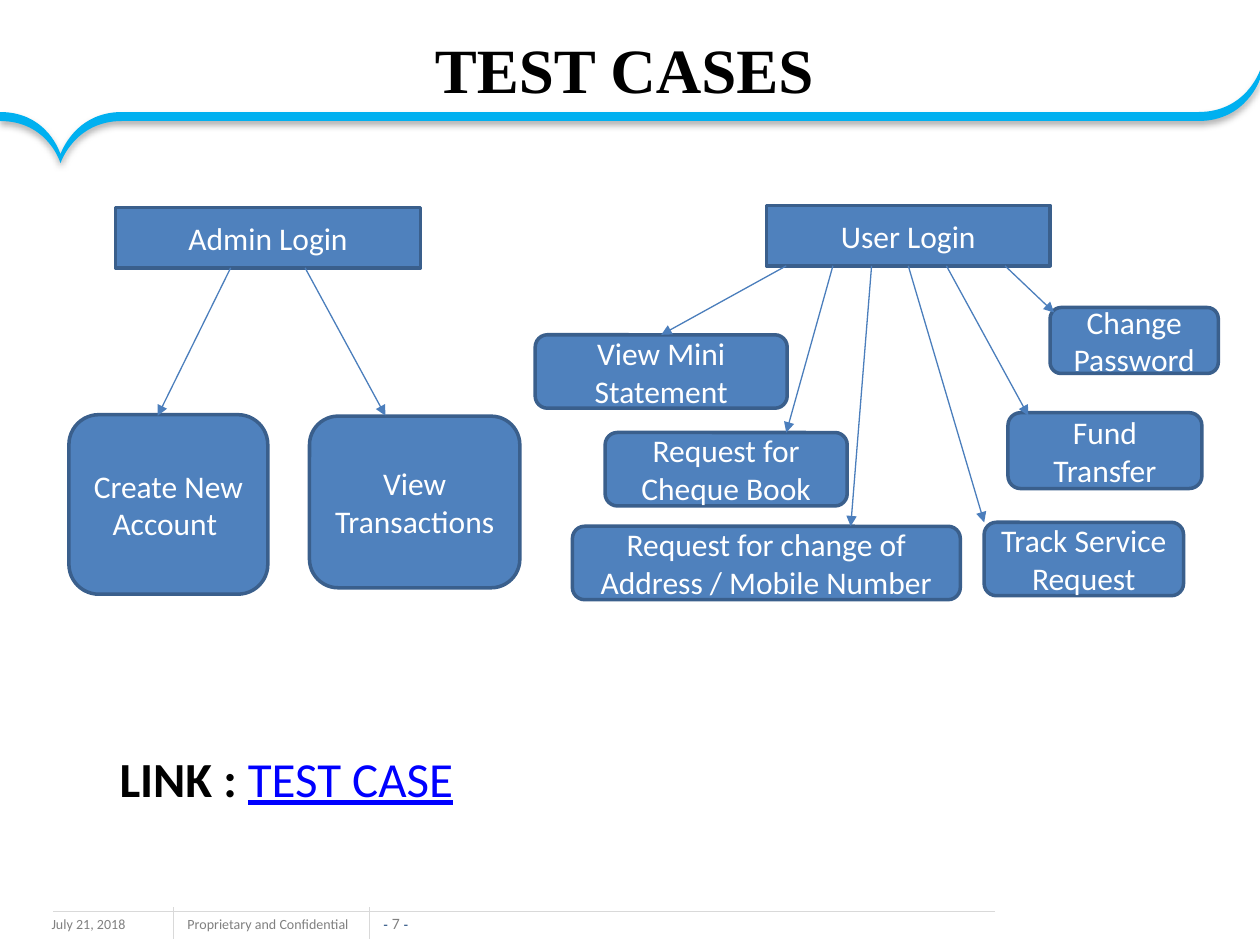
"""Build the test cases slide with its two login trees."""
from dataclasses import dataclass

from lxml.etree import SubElement as Sub
from pptx import Presentation as Deck
from pptx.dml.color import RGBColor as Rgb
from pptx.enum.shapes import MSO_CONNECTOR as Link, MSO_SHAPE as Form
from pptx.enum.text import MSO_ANCHOR as Anchor, PP_ALIGN as Align
from pptx.oxml.ns import qn
from pptx.util import Cm, Pt


@dataclass(frozen=True)
class Theme:
    """Colours, fonts, type sizes and line widths."""
    band: str = "00B0F0"
    box: str = "4F81BD"
    edge: str = "3A5F8C"
    arrow: str = "4B7EBC"
    rule: str = "D9D9D9"
    dark: str = "000000"
    light: str = "FFFFFF"
    grey: str = "808080"
    dash: str = "1F497D"
    link: str = "0000FF"
    body: str = "Calibri"
    serif: str = "Times New Roman"
    sans: str = "Arial"
    head: int = 36
    note: int = 28
    label: int = 18
    page: int = 9
    foot: int = 8
    thick: float = 2
    thin: float = 0.75


T = Theme()

ADMIN = ("Admin Login", 2.33, 4.18, 6.15, 1.22)
USER = ("User Login", 15.45, 4.14, 5.72, 1.22)
MINI = ("View Mini Statement", 10.79, 6.75, 5.08, 1.48)
TASKS = [
    ("Request for change of Address / Mobile Number", 11.54, 10.61, 7.82, 1.48),
    ("Request for Cheque Book", 12.2, 8.72, 4.88, 1.48),
    ("Track Service Request", 19.84, 10.53, 4.02, 1.48),
    ("Fund Transfer", 20.32, 8.32, 3.91, 1.53),
    ("Change Password", 21.17, 6.2, 3.39, 1.33),
    ("Create New Account ", 1.39, 8.36, 4.01, 3.62),
    ("View Transactions", 6.24, 8.39, 4.24, 3.46),
]
ADMIN_ARROWS = [(4.65, 3.18, 8.38), (6.15, 7.77, 8.38)]
USER_ARROWS = [
    (16.79, 15.85, 8.72), (17.57, 17.15, 10.61), (18.31, 19.84, 10.53),
    (19.08, 20.73, 8.38), (20.26, 21.25, 6.3),
]


def add_run(par, text, size, color, font=T.body, bold=False, under=False):
    """Add one styled run to a paragraph."""
    run = par.add_run()
    run.text = text
    run.font.size = Pt(size)
    run.font.name = font
    run.font.bold = bold
    run.font.underline = under
    run.font.color.rgb = Rgb.from_string(color)


def add_text(slide, x, y, w, h, runs, align=Align.LEFT, wrap=True):
    """Add a text box and return its frame."""
    frame = slide.shapes.add_textbox(Cm(x), Cm(y), Cm(w), Cm(h)).text_frame
    frame.word_wrap = wrap
    par = frame.paragraphs[0]
    par.alignment = align
    for run in runs:
        add_run(par, *run)
    return frame


def add_box(slide, form, text, x, y, w, h):
    """Add a filled box with a centred label."""
    box = slide.shapes.add_shape(form, Cm(x), Cm(y), Cm(w), Cm(h))
    box.shadow.inherit = False
    box.fill.solid()
    box.fill.fore_color.rgb = Rgb.from_string(T.box)
    box.line.color.rgb = Rgb.from_string(T.edge)
    box.line.width = Pt(T.thick)
    frame = box.text_frame
    frame.word_wrap = True
    frame.vertical_anchor = Anchor.MIDDLE
    par = frame.paragraphs[0]
    par.alignment = Align.CENTER
    add_run(par, text, T.label, T.light)
    return box


def add_line(slide, x1, y1, x2, y2, color=T.rule):
    """Add a thin straight line."""
    line = slide.shapes.add_connector(Link.STRAIGHT, Cm(x1), Cm(y1), Cm(x2), Cm(y2))
    line.line.color.rgb = Rgb.from_string(color)
    line.line.width = Pt(T.thin)
    Sub(line._element.spPr, qn("a:effectLst"))
    return line


def add_arrow(slide, x1, y1, x2, y2):
    """Add a line with an arrowhead at its end."""
    line = add_line(slide, x1, y1, x2, y2, T.arrow)
    Sub(line.line._get_or_add_ln(), qn("a:tailEnd"), type="triangle")
    return line


def bend(shape):
    """Turn each three line segments of a freeform into one cubic curve."""
    legs = list(shape._element.iter(qn("a:lnTo")))
    for i in range(0, len(legs), 3):
        trio = legs[i:i + 3]
        trio[0].tag = qn("a:cubicBezTo")
        for leg in trio[1:]:
            trio[0].append(leg[0])
            leg.getparent().remove(leg)


def add_band(slide):
    """Add the curved band below the title."""
    y, tip, end, deep = 2.26, (1.22, 3.11), (25.4, 1.42), 0.18
    top = [(0, y), (0.97, y), *[tip] * 3, (1.5, y), (2.46, y),
           *[(24.16, y)] * 3, (25.12, y), end, end]
    base = [(px, py + deep) for px, py in reversed(top)]
    dots = [(Cm(px), Cm(py)) for px, py in top + [base[0]] * 2 + base]
    pen = slide.shapes.build_freeform(*dots[0])
    pen.add_line_segments(dots[1:], close=True)
    band = pen.convert_to_shape()
    bend(band)
    band.fill.solid()
    band.fill.fore_color.rgb = Rgb.from_string(T.band)
    band.line.fill.background()
    glow = Sub(band._element.spPr, qn("a:effectLst"))
    cast = Sub(glow, qn("a:outerShdw"), blurRad=str(Pt(4)), dist=str(Pt(2)),
               dir="5400000", algn="t", rotWithShape="0")
    tint = Sub(cast, qn("a:srgbClr"), val=T.dark)
    Sub(tint, qn("a:alpha"), val="31000")


def add_foot(slide):
    """Add the footer texts and rules."""
    add_text(slide, 0.79, 18.34, 3.38, 0.64, [("July 21, 2018", T.foot, T.grey)])
    add_text(slide, 3.53, 18.34, 3.99, 0.61,
             [("Proprietary and Confidential", T.foot, T.grey)], wrap=False)
    runs = [("- ", T.foot, T.dash, T.sans), ("7 ", T.page, T.grey), ("-", T.foot, T.dash, T.sans)]
    page = add_text(slide, 7.65, 18.42, 0.66, 0.38, runs, Align.CENTER, False)
    page.margin_left = page.margin_right = page.margin_top = page.margin_bottom = Cm(0)
    page.vertical_anchor = Anchor.BOTTOM
    for x in (3.5, 7.45):
        add_line(slide, x, 18.29, x, 18.92)
    add_line(slide, 20.06, 18.37, 1.06, 18.37)


def add_trees(slide):
    """Add the login boxes, their tasks and the arrows."""
    for root in (ADMIN, USER):
        add_box(slide, Form.RECTANGLE, *root)
    mini = add_box(slide, Form.ROUNDED_RECTANGLE, *MINI)
    for task in TASKS:
        add_box(slide, Form.ROUNDED_RECTANGLE, *task)
    for root, arrows in ((ADMIN, ADMIN_ARROWS), (USER, USER_ARROWS)):
        for x1, x2, y2 in arrows:
            add_arrow(slide, x1, root[2] + root[4], x2, y2)
    add_arrow(slide, 15.85, USER[2] + USER[4], 13.33, 6.75).end_connect(mini, 0)


def main():
    """Build and save the slide."""
    deck = Deck()
    deck.slide_width, deck.slide_height = Cm(25.4), Cm(19.05)
    slide = deck.slides.add_slide(deck.slide_layouts[6])
    add_foot(slide)
    add_band(slide)
    add_text(slide, 0.94, 0.5, 23.29, 1.8,
             [("TEST CASES", T.head, T.dark, T.serif, True)], Align.CENTER)
    add_text(slide, 2.16, 14.96, 21.59, 2.34,
             [("LINK : ", T.note, T.dark, T.body, True),
              ("TEST CASE", T.note, T.link, T.body, False, True)])
    add_trees(slide)
    deck.save("out.pptx")


if __name__ == "__main__":
    main()
